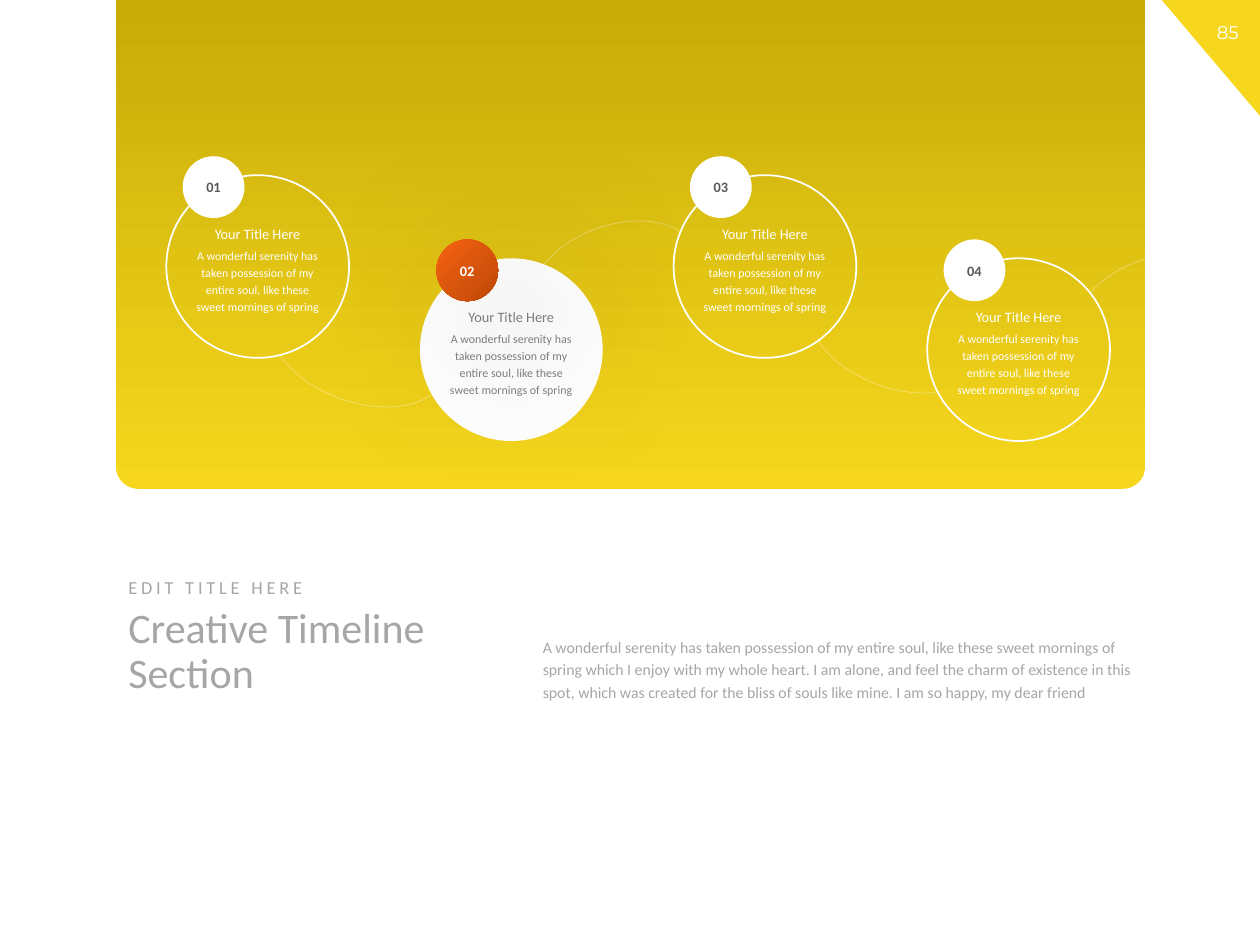
import pptx
import pptx.util
import pptx.dml.color
import pptx.enum.shapes
import pptx.enum.text
import pptx.oxml
import pptx.oxml.ns

Inches = pptx.util.Inches
Kind = pptx.enum.shapes.MSO_SHAPE
Align = pptx.enum.text.PP_ALIGN
HEX = {"white": "FFFFFF", "yellow": "F6D71E", "olive": "C7AC08",
       "orange": "F56211", "rust": "BD4808", "dark": "595959",
       "mid": "808080", "pale": "A6A6A6"}
RGB = {name: pptx.dml.color.RGBColor.from_string(code)
       for name, code in HEX.items()}

deck = pptx.Presentation()
deck.slide_width, deck.slide_height = Inches(10), Inches(7.5)
slide = deck.slides.add_slide(deck.slide_layouts[6])


def draw(kind, box, fill=None, line=None, width=1):
    """Add a shape; a fill of (colours, stops, angle) is a gradient."""
    shape = slide.shapes.add_shape(kind, *map(Inches, box))
    shape.shadow.inherit = False
    if isinstance(fill, tuple):
        shape.fill.gradient()
        shape.fill.gradient_angle = fill[2]
        for stop, name, place in zip(shape.fill.gradient_stops, *fill[:2]):
            stop.color.rgb = RGB[name]
            stop.position = place
    elif fill:
        shape.fill.solid()
        shape.fill.fore_color.rgb = RGB[fill]
    else:
        shape.fill.background()
    if line:
        shape.line.color.rgb = RGB[line]
        shape.line.width = pptx.util.Pt(width)
    else:
        shape.line.fill.background()
    return shape


def write(words, size, color, box=None, shape=None, align=Align.CENTER,
          space=1.0, face="Calibri"):
    """Put one run of text in a shape or in a new text box."""
    holder = shape or slide.shapes.add_textbox(*map(Inches, box))
    frame = holder.text_frame
    frame.word_wrap = True
    para = frame.paragraphs[0]
    para.alignment = align
    para.line_spacing = space
    run = para.add_run()
    run.text = words
    run.font.size = pptx.util.Pt(size)
    run.font.name = face
    run.font.color.rgb = RGB[color]
    return run


# Page corner and number
corner = draw(Kind.RIGHT_TRIANGLE, (9.22, 0, 0.78, 0.92), "yellow")
corner.rotation = 180
write("85", 10.5, "white", (9.49, 0.12, 0.51, 0.28), face="Montserrat")

# Panel with rounded lower corners
panel = draw(Kind.ROUND_2_SAME_RECTANGLE, (0.92, 0, 8.17, 3.88),
             (("yellow", "olive"), (0, 0.99), 270))
panel.adjustments[0], panel.adjustments[1] = 0.046, 0
panel._element.spPr.xfrm.set("flipV", "1")

# Timeline steps, alternately high and low
blurb = ("A wonderful serenity has taken possession of my entire soul, "
         "like these sweet mornings of spring")
for i in range(4):
    left = 1.32 + 2.013 * i
    top = 2.05 if i % 2 else 1.39
    active = i == 1
    ink = "mid" if active else "white"
    if active:
        draw(Kind.OVAL, (left, top, 1.45, 1.45), "white")
    else:
        draw(Kind.OVAL, (left, top, 1.45, 1.45), line="white")
    write("Your Title Here", 8.2, ink, (left, top + 0.345, 1.45, 0.24))
    write(blurb, 6.8, ink, (left + 0.11, top + 0.51, 1.23, 0.65), space=1.2)

    # Number badge
    glow = (("orange", "rust"), (0.02, 1), 315)
    badge = draw(Kind.OVAL, (left + 0.13, top - 0.15, 0.49, 0.49),
                 glow if active else "white")
    frame = badge.text_frame
    frame.margin_left = frame.margin_right = 0
    frame.vertical_anchor = pptx.enum.text.MSO_ANCHOR.MIDDLE
    run = write(f"0{i + 1}", 8.2, "white" if active else "dark", shape=badge)
    run.font.bold = True
    if active:
        effect = badge._element.spPr.find(pptx.oxml.ns.qn("a:effectLst"))
        effect.append(pptx.oxml.parse_xml(
            f'<a:outerShdw {pptx.oxml.ns.nsdecls("a")} blurRad="1270000" '
            'dist="444500" dir="2700000" algn="tl" rotWithShape="0">'
            '<a:srgbClr val="000000"><a:alpha val="40000"/></a:srgbClr>'
            '</a:outerShdw>'))

# Faint arcs between the steps: box, turn, flip, start and end
arcs = [((2.13, 2.32, 1.44, 0.87), 19.5, True, 123.323, 207.443),
        ((4.2, 1.79, 1.35, 0.83), 340.6, False, 126.446, 206.545),
        ((6.4, 2.21, 1.44, 0.87), 19.5, True, 123.323, 193.871),
        ((8.47, 2.02, 1.69, 1.36), 348.8, False, 132.349, 199.67)]
for box, turn, flip, start, end in arcs:
    arc = draw(Kind.ARC, box, line="white", width=0.5)
    arc.adjustments[0], arc.adjustments[1] = start, end
    arc.rotation = turn
    if flip:
        arc._element.spPr.xfrm.set("flipV", "1")
    tint = arc.line._ln.find(".//" + pptx.oxml.ns.qn("a:srgbClr"))
    tint.append(pptx.oxml.parse_xml(
        f'<a:alpha {pptx.oxml.ns.nsdecls("a")} val="30000"/>'))

# Heading and summary
write("Creative Timeline Section", 24, "pale", (0.92, 4.77, 2.85, 0.91),
      align=Align.LEFT, space=0.9)
run = write("EDIT TITLE HERE", 10.5, "pale", (0.92, 4.52, 1.83, 0.28),
            align=Align.LEFT)
run.font._element.set("spc", "220")
write("A wonderful serenity has taken possession of my entire soul, like "
      "these sweet mornings of spring which I enjoy with my whole heart. I am "
      "alone, and feel the charm of existence in this spot, which was created "
      "for the bliss of souls like mine. I am so happy, my dear friend",
      9, "pale", (4.21, 4.98, 4.87, 0.65), align=Align.LEFT, space=1.2)

deck.save("out.pptx")
